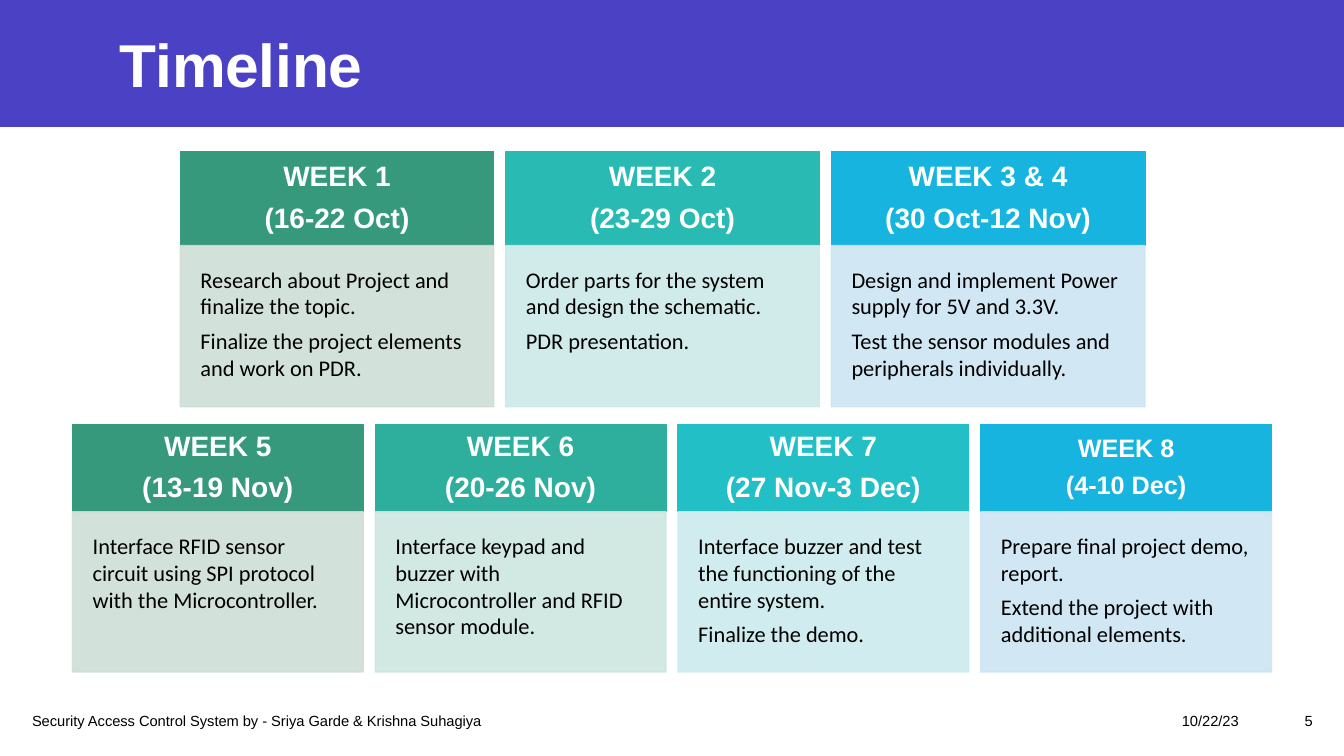
from lxml.etree import SubElement
from pptx import Presentation
from pptx.dml.color import RGBColor
from pptx.enum.shapes import MSO_SHAPE as Shape
from pptx.enum.text import MSO_ANCHOR as Anchor, PP_ALIGN as Align
from pptx.oxml.ns import qn
from pptx.util import Pt

WHITE = RGBColor(0xFF, 0xFF, 0xFF)
BLACK = RGBColor(0x00, 0x00, 0x00)
VIOLET = RGBColor(0x4A, 0x41, 0xC5)
GREEN = RGBColor(0x37, 0x99, 0x7B)
JADE = RGBColor(0x2E, 0xAF, 0x9E)
TEAL = RGBColor(0x29, 0xBA, 0xB4)
AQUA = RGBColor(0x23, 0xBF, 0xC6)
BLUE = RGBColor(0x17, 0xB4, 0xDF)
PALE_GREEN = RGBColor(0xCE, 0xDE, 0xD7)
PALE_JADE = RGBColor(0xCC, 0xE6, 0xE1)
PALE_TEAL = RGBColor(0xCC, 0xE9, 0xE8)
PALE_AQUA = RGBColor(0xCC, 0xEA, 0xED)
PALE_BLUE = RGBColor(0xCC, 0xE5, 0xF3)

GAP = 8.6

FIRST = [
    (("WEEK 1", "(16-22 Oct)"), 20, GREEN, PALE_GREEN,
     ("Research about Project and finalize the topic.",
      "Finalize the project elements and work on PDR.")),
    (("WEEK 2", "(23-29 Oct)"), 20, TEAL, PALE_TEAL,
     ("Order parts for the system and design the schematic.",
      "PDR presentation.")),
    (("WEEK 3 & 4", "(30 Oct-12 Nov)"), 20, BLUE, PALE_BLUE,
     ("Design and implement Power supply for 5V and 3.3V.",
      "Test the sensor modules and peripherals individually.")),
]
SECOND = [
    (("WEEK 5", "(13-19 Nov)"), 20, GREEN, PALE_GREEN,
     ("Interface RFID sensor circuit using SPI protocol with the Microcontroller.",)),
    (("WEEK 6", "(20-26 Nov)"), 20, JADE, PALE_JADE,
     ("Interface keypad and buzzer with Microcontroller and RFID sensor module.",)),
    (("WEEK 7", "(27 Nov-3 Dec)"), 20, AQUA, PALE_AQUA,
     ("Interface buzzer and test the functioning of the entire system.",
      "Finalize the demo.")),
    (("WEEK 8", "(4-10 Dec)"), 18, BLUE, PALE_BLUE,
     ("Prepare final project demo, report.",
      "Extend the project with additional elements.")),
]


def write(shape, lines, size, font="Arial", color=BLACK, bold=False, align=Align.LEFT,
          anchor=Anchor.MIDDLE, inset=(7.2, 3.6), pitch=1.0, after=0, track=0):
    """Fill a shape with one formatted paragraph per line."""
    frame = shape.text_frame
    frame.word_wrap = True
    frame.vertical_anchor = anchor
    frame.margin_left = frame.margin_right = Pt(inset[0])
    frame.margin_top = frame.margin_bottom = Pt(inset[1])
    for i, line in enumerate(lines):
        para = frame.add_paragraph() if i else frame.paragraphs[0]
        para.alignment = align
        para.line_spacing = pitch
        para.space_before = Pt(0)
        para.space_after = Pt(after)
        run = para.add_run()
        run.text = line
        run.font.size = Pt(size)
        run.font.name = font
        run.font.bold = bold
        run.font.color.rgb = color
        if track:
            run._r.get_or_add_rPr().set("spc", str(track))


def block(slide, box, color, alpha=100):
    """Add a plain rectangle with a matching outline."""
    shape = slide.shapes.add_shape(Shape.RECTANGLE, *map(Pt, box))
    shape.shadow.inherit = False
    shape.fill.solid()
    shape.fill.fore_color.rgb = color
    shape.line.color.rgb = color
    shape.line.width = Pt(1)
    if alpha < 100:
        for tint in shape._element.spPr.iter(qn("a:srgbClr")):
            SubElement(tint, qn("a:alpha")).set("val", str(alpha * 1000))
    return shape


def banner(slide, box, text):
    """Place the title on a coloured band."""
    left, top, width, height = box
    band = block(slide, box, VIOLET)
    band.line.fill.background()
    title = slide.shapes.title
    title._element.addprevious(band._element)
    title.left, title.top = Pt(left + 78.5), Pt(top + 15.1)
    title.width, title.height = Pt(width - 171), Pt(height - 31)
    write(title, [text], 43.2, color=WHITE, bold=True, track=-20)


def row(slide, box, head, weeks):
    """Lay out equal week cards, each a heading over its tasks."""
    left, top, width, height = box
    wide = (width - GAP * (len(weeks) - 1)) / len(weeks)
    for i, (name, size, dark, pale, tasks) in enumerate(weeks):
        x = left + i * (wide + GAP)
        cap = block(slide, (x, top, wide, head), dark)
        write(cap, name, size, color=WHITE, bold=True, align=Align.CENTER,
              inset=(16, 0), pitch=0.9, after=0.4 * size)
        card = block(slide, (x, top + head, wide, height - head), pale, 90)
        write(card, tasks, 16, font="Calibri", anchor=Anchor.TOP,
              inset=(14.4, 14.4), after=5.6)


def footer(slide, box):
    """Place the project name, date and page number on one line."""
    left, top, width, height = box
    parts = [
        (0, 381, "Security Access Control System by - Sriya Garde & Krishna Suhagiya", Align.LEFT),
        (536.5, 342.5, "10/22/23 ", Align.RIGHT),
        (width - 50, 50, "5", Align.RIGHT),
    ]
    for x, wide, text, align in parts:
        note = slide.shapes.add_textbox(Pt(left + x), Pt(top), Pt(wide), Pt(height))
        write(note, [text], 10.5, align=align)


def main():
    """Build and save the timeline slide."""
    deck = Presentation()
    deck.slide_width, deck.slide_height = Pt(960), Pt(540)
    slide = deck.slides.add_slide(deck.slide_layouts[5])
    banner(slide, (0, 0, 960, 90.6), "Timeline")
    row(slide, (128.8, 108.2, 689, 182.4), 67.2, FIRST)
    footer(slide, (15.8, 500.4, 929, 28.8))
    row(slide, (51.8, 303.2, 856.4, 176.8), 62.4, SECOND)
    deck.save("out.pptx")


if __name__ == "__main__":
    main()
